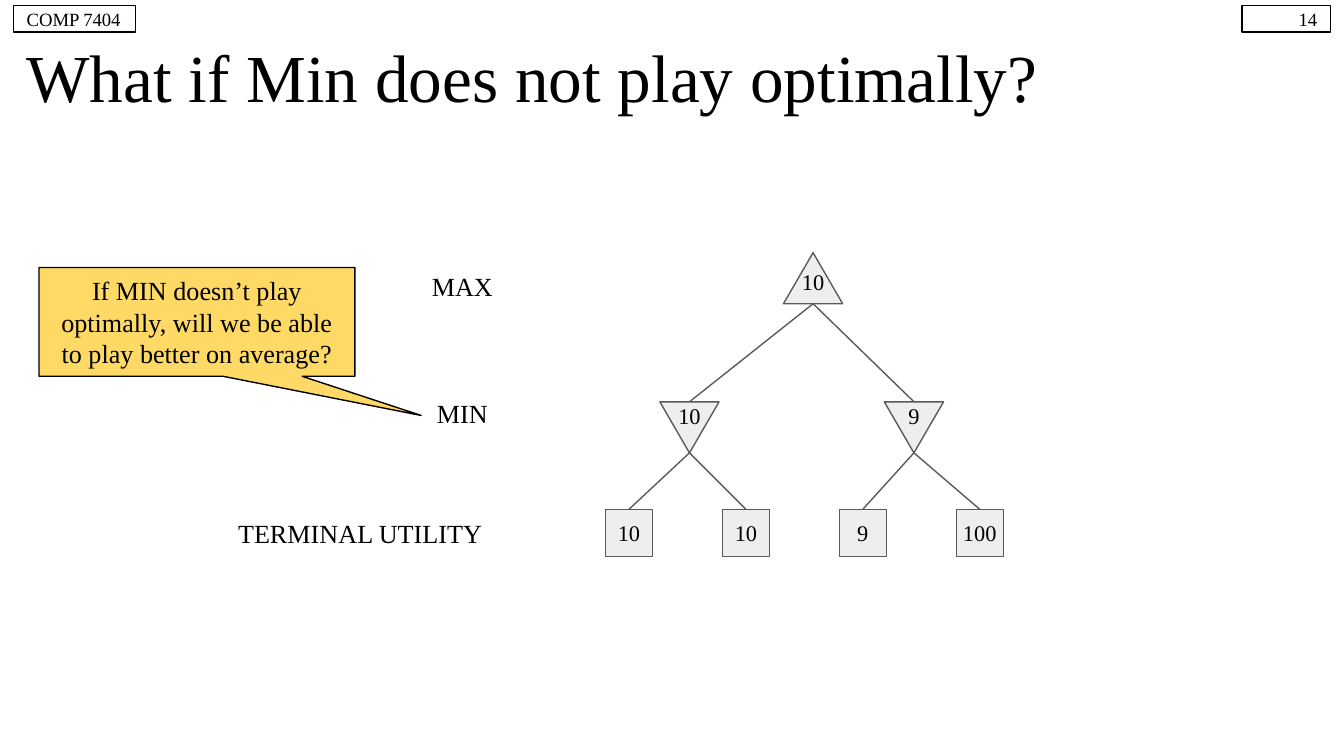
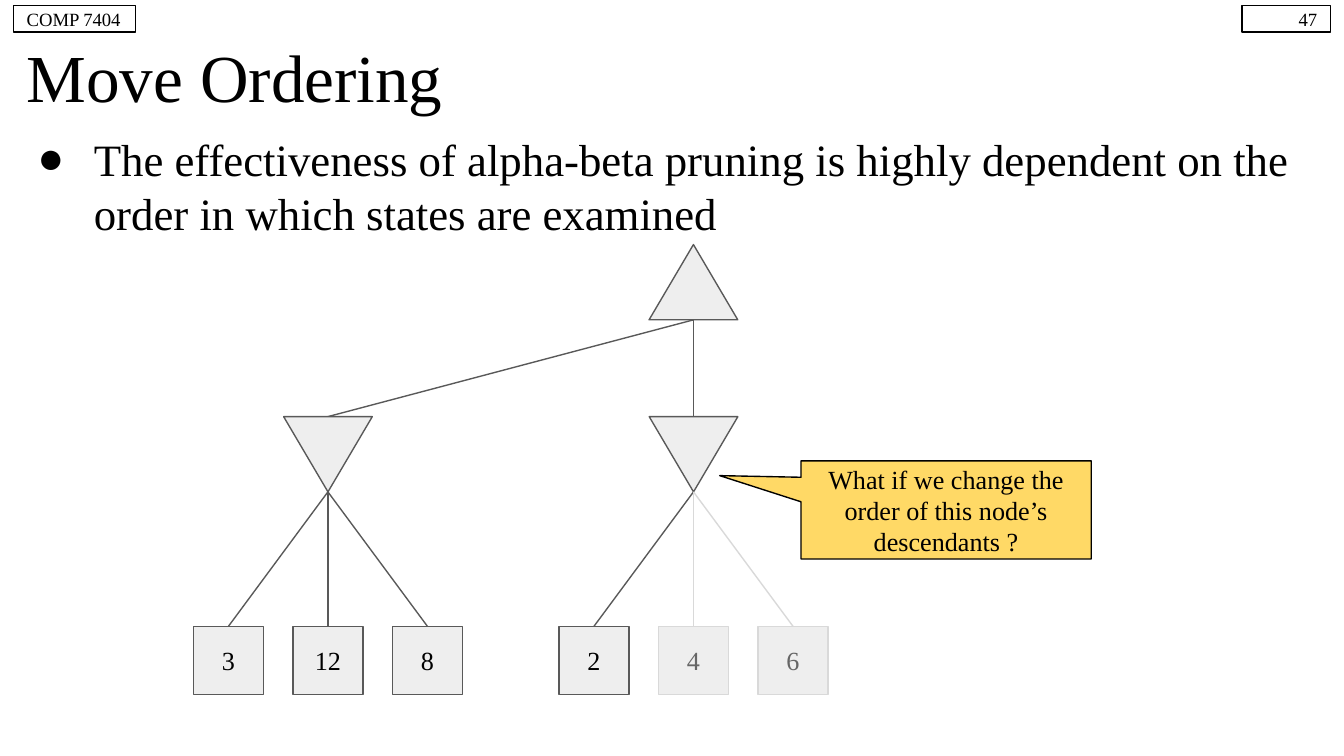
from dataclasses import dataclass

from lxml.etree import SubElement
from pptx import Presentation
from pptx.dml.color import RGBColor
from pptx.enum.shapes import MSO_CONNECTOR, MSO_SHAPE
from pptx.enum.text import MSO_ANCHOR, PP_ALIGN
from pptx.oxml.ns import qn
from pptx.util import Inches, Pt

COLORS = {
    "text": "000000",
    "muted": "666666",
    "node": "EEEEEE",
    "edge": "595959",
    "pruned": "D9D9D9",
    "callout": "FFD966",
}
FONT = "Times New Roman"
COURSE = "COMP 7404"
PAGE_WIDTH = Inches(10)
PAGE_HEIGHT = PAGE_WIDTH * 9 // 16
LINE_WIDTH = Pt(0.75)
LABEL_WIDTH, LABEL_HEIGHT = 0.42, 0.27


@dataclass(frozen=True)
class Box:
    left: float
    top: float
    width: float
    height: float

    def lengths(self):
        return [Inches(side) for side in (self.left, self.top, self.width, self.height)]


@dataclass(frozen=True)
class Leaf:
    center: float
    value: str
    pruned: bool = False


@dataclass(frozen=True)
class Branch:
    center: float
    leaves: tuple[Leaf, ...]
    value: str = ""


@dataclass(frozen=True)
class Tree:
    center: float
    max_top: float
    min_top: float
    leaf_top: float
    triangle_width: float
    triangle_height: float
    leaf_width: float
    leaf_height: float
    leaf_size: int
    leaf_inset: float
    branches: tuple[Branch, ...]
    value: str = ""


@dataclass(frozen=True)
class Callout:
    text: str
    box: Box
    tip_x: float
    tip_y: float


TITLE_BOX = Box(0.1, 0.28, 9.8, 0.57)
BODY_BOX = Box(0.1, 0.88, 9.8, 4.61)
COURSE_BOX = Box(0.1, 0.04, 0.91, 0.2)
NUMBER_BOX = Box(9.24, 0.04, 0.66, 0.2)


def color(name: str) -> RGBColor:
    return RGBColor.from_string(COLORS[name])


def write(shape, text: str, *, size: int, align=PP_ALIGN.CENTER, ink: str = "text",
          anchor=MSO_ANCHOR.MIDDLE, inset: float = 0.1):
    frame = shape.text_frame
    frame.word_wrap = True
    frame.vertical_anchor = anchor
    frame.margin_left = frame.margin_right = Inches(inset)
    frame.margin_top = frame.margin_bottom = Inches(0.1)
    para = frame.paragraphs[0]
    para.alignment = align
    span = para.add_run()
    span.text = text
    span.font.name = FONT
    span.font.size = Pt(size)
    span.font.color.rgb = color(ink)
    return para


def add_text(page, text: str, box: Box, **format_options):
    return write(page.shapes.add_textbox(*box.lengths()), text, **format_options)


def add_outlined(page, kind, box: Box, line: str, fill: str | None = None):
    shape = page.shapes.add_shape(kind, *box.lengths())
    shape.shadow.inherit = False
    if fill:
        shape.fill.solid()
        shape.fill.fore_color.rgb = color(fill)
    else:
        shape.fill.background()
    shape.line.color.rgb = color(line)
    shape.line.width = LINE_WIDTH
    return shape


def add_edge(page, start: tuple[float, float], end: tuple[float, float], line: str = "edge") -> None:
    points = [Inches(value) for value in (*start, *end)]
    edge = page.shapes.add_connector(MSO_CONNECTOR.STRAIGHT, *points)
    edge.line.color.rgb = color(line)
    edge.line.width = LINE_WIDTH
    SubElement(edge._element.spPr, qn("a:effectLst"))


def add_triangle(page, tree: Tree, center: float, top: float, value: str, label_shift: float,
                 rotation: int = 0) -> None:
    box = Box(center - tree.triangle_width / 2, top, tree.triangle_width, tree.triangle_height)
    triangle = add_outlined(page, MSO_SHAPE.ISOSCELES_TRIANGLE, box, "edge", "node")
    triangle.rotation = rotation
    if value:
        label = Box(center - LABEL_WIDTH / 2, top + label_shift, LABEL_WIDTH, LABEL_HEIGHT)
        add_text(page, value, label, size=12)


def add_leaf(page, tree: Tree, leaf: Leaf) -> None:
    box = Box(leaf.center - tree.leaf_width / 2, tree.leaf_top, tree.leaf_width, tree.leaf_height)
    square = add_outlined(page, MSO_SHAPE.RECTANGLE, box, "pruned" if leaf.pruned else "edge", "node")
    write(square, leaf.value, size=tree.leaf_size, inset=tree.leaf_inset,
          ink="muted" if leaf.pruned else "text")


def add_tree(page, tree: Tree) -> None:
    max_bottom = tree.max_top + tree.triangle_height
    min_bottom = tree.min_top + tree.triangle_height
    for branch in tree.branches:
        add_edge(page, (branch.center, tree.min_top), (tree.center, max_bottom))
    add_triangle(page, tree, tree.center, tree.max_top, tree.value, 0.08)
    for branch in tree.branches:
        add_triangle(page, tree, branch.center, tree.min_top, branch.value, -0.03, rotation=180)
        for leaf in branch.leaves:
            add_edge(page, (branch.center, min_bottom), (leaf.center, tree.leaf_top),
                     "pruned" if leaf.pruned else "edge")
            add_leaf(page, tree, leaf)


def add_callout(page, callout: Callout) -> None:
    shape = add_outlined(page, MSO_SHAPE.ROUNDED_RECTANGULAR_CALLOUT, callout.box, "text", "callout")
    for index, value in enumerate((callout.tip_x, callout.tip_y, 0)):
        shape.adjustments[index] = value
    write(shape, callout.text, size=14)


def add_bullet(page, text: str) -> None:
    para = add_text(page, text, BODY_BOX, size=24, align=PP_ALIGN.LEFT, anchor=MSO_ANCHOR.TOP)
    properties = para._p.get_or_add_pPr()
    properties.set("marL", str(Inches(0.5)))
    properties.set("indent", str(Inches(-0.42)))
    bullet_color = SubElement(properties, qn("a:buClr"))
    SubElement(bullet_color, qn("a:srgbClr"), val=COLORS["text"])
    SubElement(properties, qn("a:buFont"), typeface=FONT)
    SubElement(properties, qn("a:buChar"), char="●")


def add_page(deck, title: str, number: int):
    page = deck.slides.add_slide(deck.slide_layouts[6])
    add_text(page, title, TITLE_BOX, size=36, align=PP_ALIGN.LEFT)
    for text, box, align in ((str(number), NUMBER_BOX, PP_ALIGN.RIGHT),
                             (COURSE, COURSE_BOX, PP_ALIGN.LEFT)):
        write(add_outlined(page, MSO_SHAPE.RECTANGLE, box, "text"), text, size=10, align=align)
    return page


def leaf_row(first: float, step: float, values: tuple[str, ...],
             pruned: tuple[str, ...] = ()) -> tuple[Leaf, ...]:
    return tuple(Leaf(first + step * index, value, value in pruned)
                 for index, value in enumerate(values))


def build_optimal_play(deck) -> None:
    page = add_page(deck, "What if Min does not play optimally?", 14)
    leaves = leaf_row(4.68, 0.87, ("10", "10", "9", "100"))
    add_tree(page, Tree(
        center=6.05, max_top=1.88, min_top=2.99, leaf_top=3.79,
        triangle_width=0.44, triangle_height=0.38, leaf_width=0.35, leaf_height=0.35,
        leaf_size=12, leaf_inset=0.01, value="10",
        branches=(Branch(5.13, leaves[:2], "10"), Branch(6.8, leaves[2:], "9")),
    ))
    for text, box in (("MAX", Box(3.1, 1.88, 0.68, 0.5)),
                      ("MIN", Box(3.1, 2.82, 0.68, 0.5)),
                      ("TERMINAL UTILITY", Box(1.59, 3.72, 2.18, 0.5))):
        add_text(page, text, box, size=14)
    add_callout(page, Callout(
        "If MIN doesn’t play optimally, will we be able to play better on average?",
        Box(0.29, 1.99, 2.35, 0.81), 0.71, 0.86))


def build_move_ordering(deck) -> None:
    page = add_page(deck, "Move Ordering", 47)
    add_bullet(page, "The effectiveness of alpha-beta pruning is highly dependent on the "
                     "order in which states are examined")
    add_tree(page, Tree(
        center=5.16, max_top=1.82, min_top=3.1, leaf_top=4.66,
        triangle_width=0.66, triangle_height=0.56, leaf_width=0.52, leaf_height=0.51,
        leaf_size=14, leaf_inset=0.1,
        branches=(Branch(2.44, leaf_row(1.7, 0.74, ("3", "12", "8"))),
                  Branch(5.16, leaf_row(4.42, 0.74, ("2", "4", "6"), pruned=("4", "6")))),
    ))
    add_callout(page, Callout(
        "What if we change the order of this node’s descendants ?",
        Box(5.96, 3.43, 2.16, 0.73), -0.78, -0.35))


def main() -> None:
    deck = Presentation()
    deck.slide_width = PAGE_WIDTH
    deck.slide_height = PAGE_HEIGHT
    build_optimal_play(deck)
    build_move_ordering(deck)
    deck.save("out.pptx")


if __name__ == "__main__":
    main()
